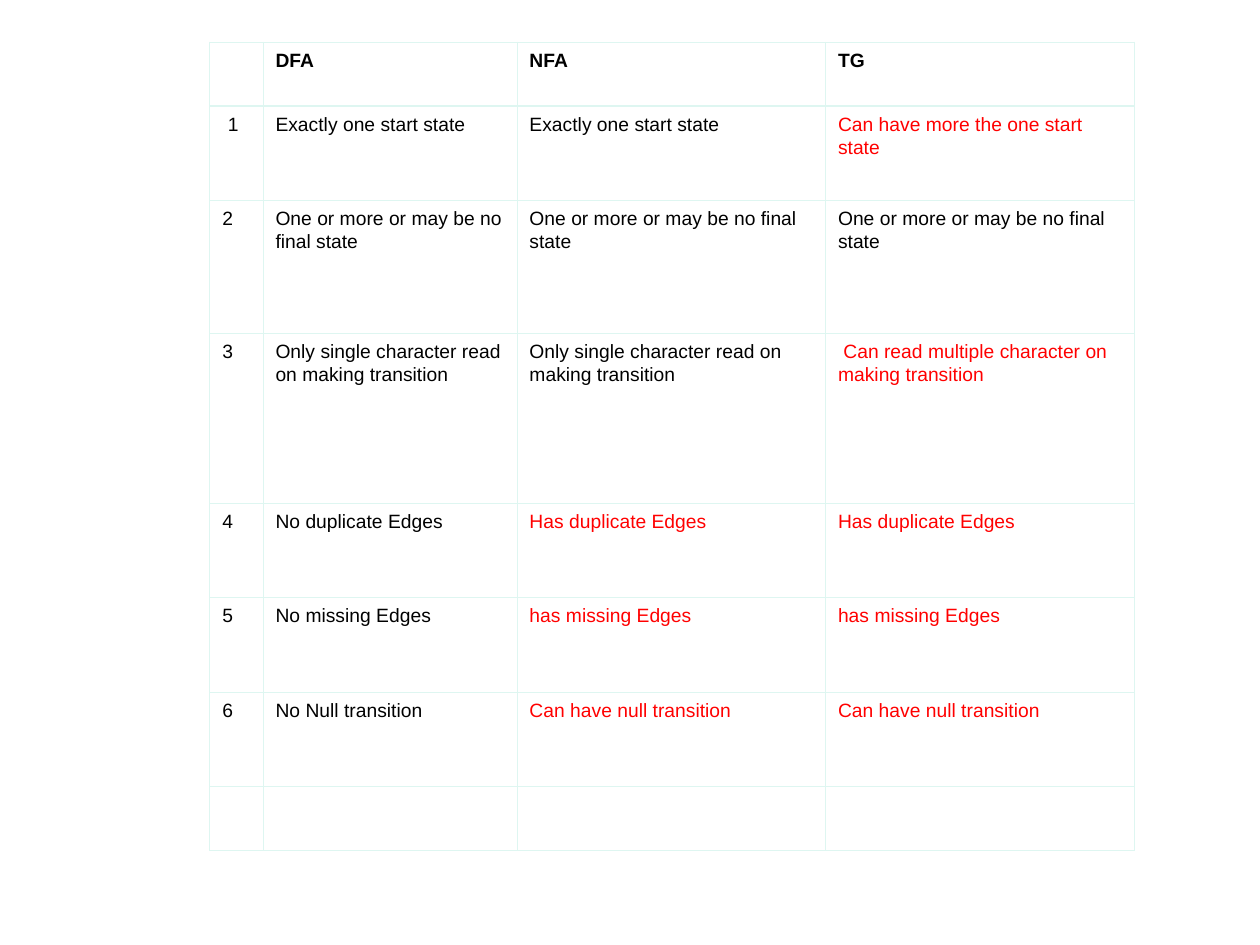
from lxml.etree import SubElement
from pptx import Presentation
from pptx.dml.color import RGBColor
from pptx.oxml.ns import qn
from pptx.util import Cm, Pt

BLACK = RGBColor(0, 0, 0)
RED = RGBColor(0xFF, 0, 0)
WHITE = RGBColor(0xFF, 0xFF, 0xFF)
MINT = RGBColor(0xDE, 0xF6, 0xF1)

COLUMN_WIDTHS = [1.07, 5.12, 6.22, 6.22]
ROW_HEIGHTS = [1.29, 1.9, 2.68, 3.43, 1.9, 1.9, 1.9, 1.29]
COMPARISON = [
    ("", "DFA", "NFA", "TG"),
    (" 1", "Exactly one start state", "Exactly one start state",
     "Can have more the one start state"),
    ("2",) + ("One or more or may be no final state",) * 3,
    ("3", "Only single character read on making transition",
     "Only single character read on making transition",
     " Can read multiple character on making transition"),
    ("4", "No duplicate Edges", "Has duplicate Edges", "Has duplicate Edges"),
    ("5", "No missing Edges", "has missing Edges", "has missing Edges"),
    ("6", "No Null transition", "Can have null transition", "Can have null transition"),
    ("", "", "", ""),
]


class SlideBuilder:
    font_name = "Arial"
    font_size = Pt(11)
    thin = Pt(0.45)
    thick = Pt(1.47)

    def __init__(self, slide):
        self.slide = slide

    def table(self, left, top, widths, heights, content):
        frame = self.slide.shapes.add_table(
            len(heights), len(widths), Cm(left), Cm(top),
            Cm(sum(widths)), Cm(sum(heights)))
        table = frame.table
        table.first_row = False
        table.horz_banding = False
        for column, width in zip(table.columns, widths):
            column.width = Cm(width)
        for row, height in zip(table.rows, heights):
            row.height = Cm(height)
        for row_index, texts in enumerate(content):
            for column_index, text in enumerate(texts):
                cell = table.cell(row_index, column_index)
                is_header = row_index == 0
                differs = column_index > 1 and text != texts[1]
                self.borders(cell, row_index)
                cell.fill.solid()
                cell.fill.fore_color.rgb = WHITE
                if text:
                    color = RED if differs and not is_header else BLACK
                    self.text(cell, text, color, is_header)

    def borders(self, cell, row_index):
        properties = cell._tc.get_or_add_tcPr()
        widths = {
            "a:lnL": self.thin,
            "a:lnR": self.thin,
            "a:lnT": self.thick if row_index == 1 else self.thin,
            "a:lnB": self.thick if row_index == 0 else self.thin,
        }
        for side, width in widths.items():
            line = SubElement(properties, qn(side), w=str(int(width)))
            fill = SubElement(line, qn("a:solidFill"))
            SubElement(fill, qn("a:srgbClr"), val=str(MINT))

    def text(self, cell, text, color, bold):
        paragraph = cell.text_frame.paragraphs[0]
        paragraph.line_spacing = 1.07
        paragraph.space_after = Pt(8)
        run = paragraph.add_run()
        run.text = text
        run.font.name = self.font_name
        run.font.size = self.font_size
        run.font.bold = bold
        run.font.color.rgb = color


def main():
    presentation = Presentation()
    presentation.slide_width = Cm(25.4)
    presentation.slide_height = Cm(19.05)
    builder = SlideBuilder(presentation.slides.add_slide(presentation.slide_layouts[6]))
    builder.table(4.23, 0.85, COLUMN_WIDTHS, ROW_HEIGHTS, COMPARISON)
    presentation.save("out.pptx")


if __name__ == "__main__":
    main()
